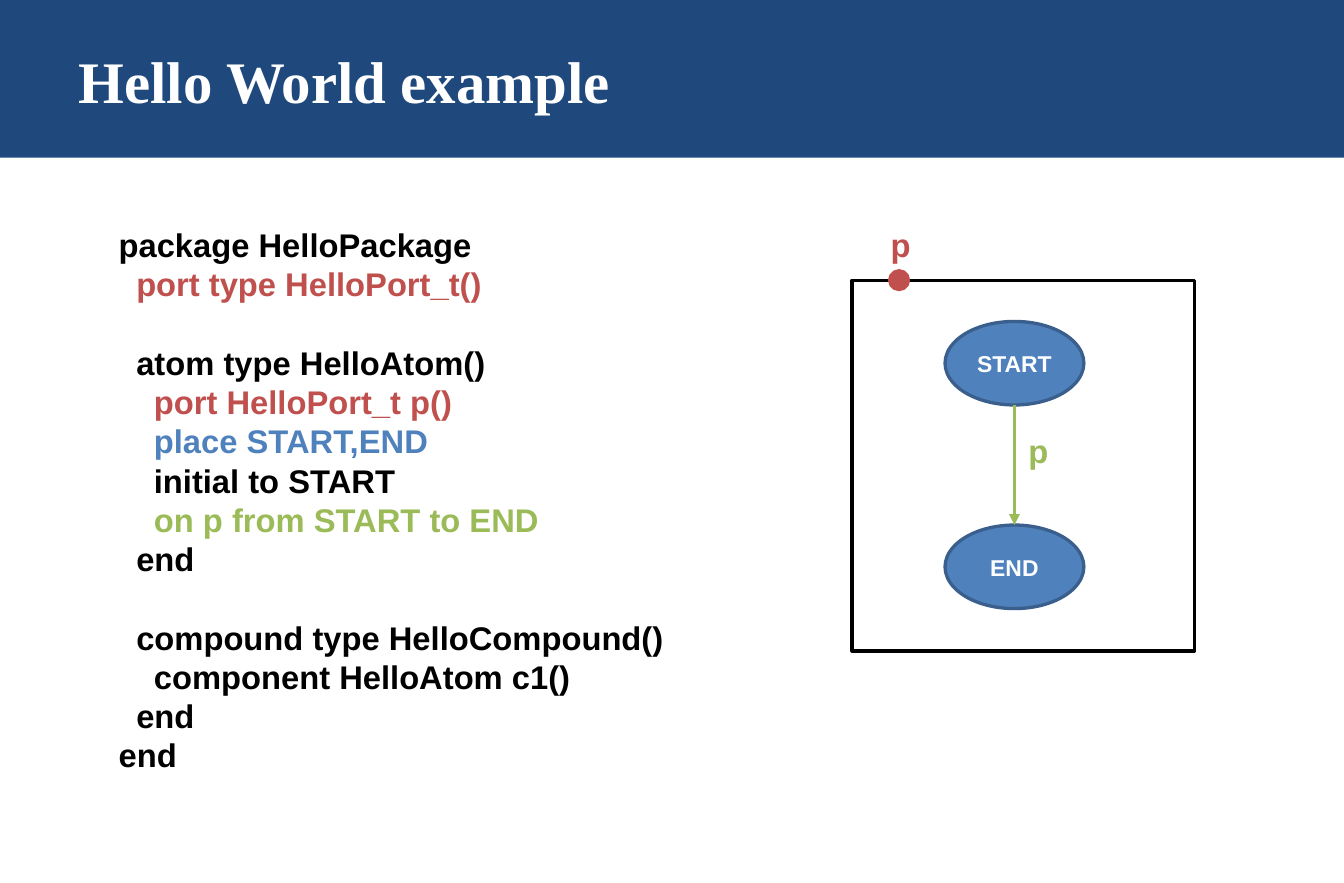
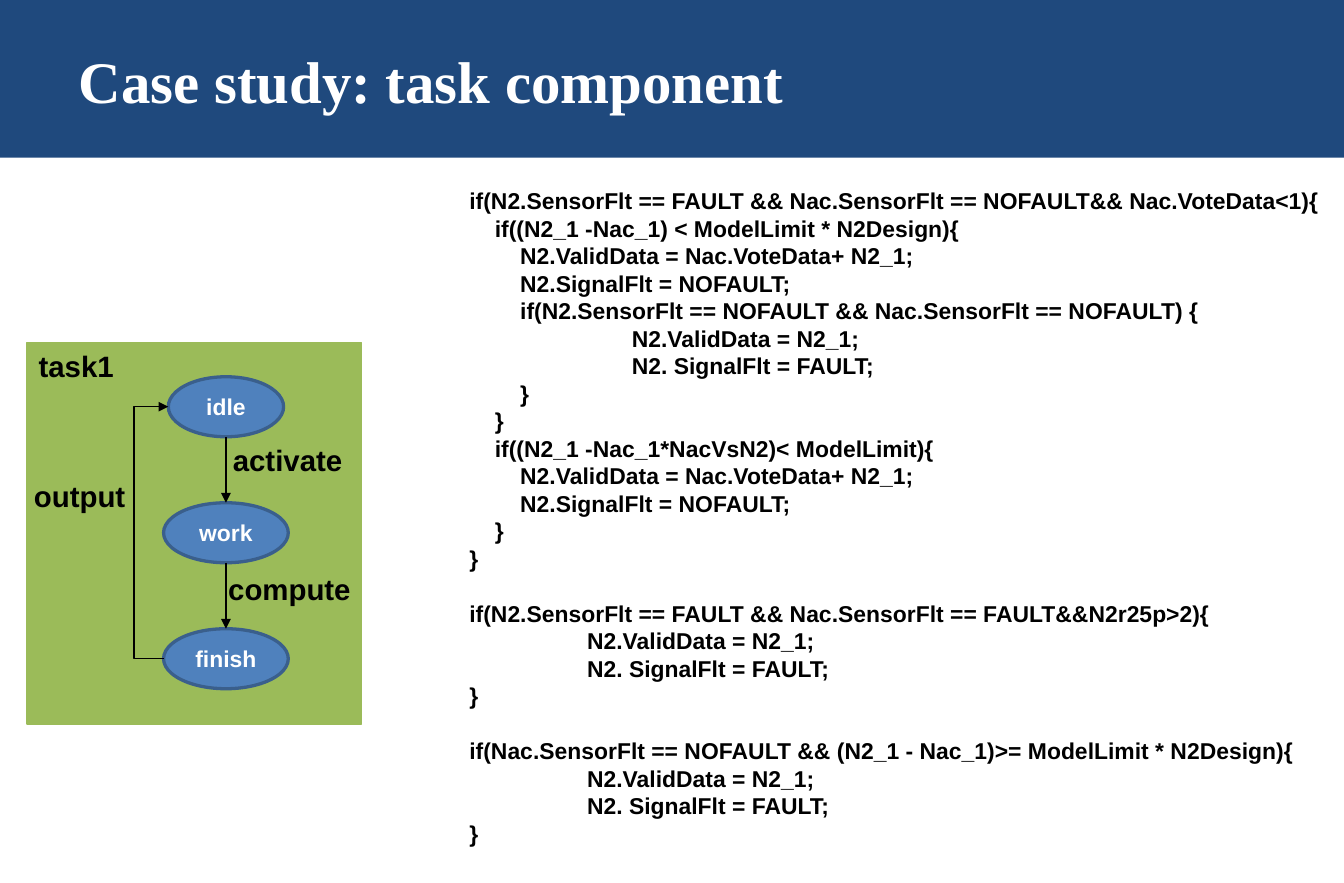
from pptx import Presentation
from pptx.util import Inches, Pt
from pptx.dml.color import RGBColor
from pptx.enum.shapes import MSO_SHAPE as Shape, MSO_CONNECTOR as Link
from pptx.enum.text import PP_ALIGN as Align, MSO_ANCHOR as Anchor
from pptx.oxml.ns import qn
from lxml import etree

WIDE, HIGH = 11.42, 7.5
NAVY, BLUE, EDGE = "1F497D", "4F81BD", "3A5F8C"
RED, GREEN, BLACK, WHITE = "C0504D", "9BBB59", "000000", "FFFFFF"
SANS, SERIF = "Arial", "Times New Roman"
LEADING = 1.2

HELLO_STEP = 0.15
HELLO = [
    (0, "package HelloPackage", BLACK),
    (1, "port type HelloPort_t()", RED),
    None,
    (1, "atom type HelloAtom()", BLACK),
    (2, "port HelloPort_t p()", RED),
    (2, "place START,END", BLUE),
    (2, "initial to START", BLACK),
    (2, "on p from START to END", GREEN),
    (1, "end", BLACK),
    None,
    (1, "compound type HelloCompound()", BLACK),
    (2, "component HelloAtom c1()", BLACK),
    (1, "end", BLACK),
    (0, "end", BLACK),
]

TASK_STEP = 0.216
TAB, DEEP = 1 / TASK_STEP, 1.38 / TASK_STEP
FAULT = [
    (TAB, "N2.ValidData = N2_1;", BLACK),
    (TAB, "N2. SignalFlt = FAULT;", BLACK),
    (0, "}", BLACK),
]
VALID = [
    (2, "N2.ValidData = Nac.VoteData+ N2_1;", BLACK),
    (2, "N2.SignalFlt = NOFAULT;", BLACK),
]
TASK = [
    (0, "if(N2.SensorFlt == FAULT && Nac.SensorFlt == NOFAULT&& Nac.VoteData<1){", BLACK),
    (1, "if((N2_1 -Nac_1) < ModelLimit * N2Design){", BLACK),
    *VALID,
    (2, "if(N2.SensorFlt == NOFAULT && Nac.SensorFlt == NOFAULT) {", BLACK),
    (DEEP, "N2.ValidData = N2_1;", BLACK),
    (DEEP, "N2. SignalFlt = FAULT;", BLACK),
    (2, "}", BLACK),
    (1, "}", BLACK),
    (1, "if((N2_1 -Nac_1*NacVsN2)< ModelLimit){", BLACK),
    *VALID,
    (1, "}", BLACK),
    (0, "}", BLACK),
    None,
    (0, "if(N2.SensorFlt == FAULT && Nac.SensorFlt == FAULT&&N2r25p>2){", BLACK),
    *FAULT,
    None,
    (0, "if(Nac.SensorFlt == NOFAULT && (N2_1 - Nac_1)>= ModelLimit * N2Design){", BLACK),
    *FAULT,
]

HELLO_NODES = ["START", "END"]
PORTS = [("p", 8.64, 3.61, 0.37, GREEN), ("p", 7.47, 1.86, 0.37, RED)]
TASK_NODES = [("idle", 0.98), ("work", 1.06), ("finish", 1.06)]
EVENTS = [("activate", 1.88, 3.71, 1.14), ("compute", 1.84, 4.8, 1.25),
          ("output", 0.19, 4.01, 0.99)]


def rgb(code):
    return RGBColor.from_string(code)


def style(par, size, color, font=SANS):
    for run in par.runs:
        run.font.name, run.font.size, run.font.bold = font, Pt(size), True
        run.font.color.rgb = rgb(color)


def box(slide, x, y, w, h, wrap=True):
    item = slide.shapes.add_textbox(*map(Inches, (x, y, w, h)))
    item.text_frame.word_wrap = wrap
    return item.text_frame


def label(slide, text, x, y, w, h, size, color):
    frame = box(slide, x, y, w, h, False)
    frame.text = text
    frame.paragraphs[0].line_spacing = Pt(size * LEADING)
    style(frame.paragraphs[0], size, color)


def code(slide, lines, x, y, w, h, size, step):
    frame = box(slide, x, y, w, h)
    par, gap = frame.paragraphs[0], False
    for line in lines:
        if line is None:
            gap = True
            continue
        level, text, color = line
        if par.text:
            par = frame.add_paragraph()
        par.text = text
        par.line_spacing = Pt(size * LEADING)
        par.space_before = Pt(size * LEADING if gap else 0)
        par._p.get_or_add_pPr().set("marL", str(Inches(level * step)))
        style(par, size, color)
        gap = False


def draw(slide, kind, x, y, w, h, fill=None, line=None, width=2):
    item = slide.shapes.add_shape(kind, *map(Inches, (x, y, w, h)))
    item.shadow.inherit = False
    if fill:
        item.fill.solid()
        item.fill.fore_color.rgb = rgb(fill)
    else:
        item.fill.background()
    if line:
        item.line.color.rgb = rgb(line)
        item.line.width = Pt(width)
    else:
        item.line.fill.background()
    return item


def node(slide, text, mid, y, w, h):
    frame = draw(slide, Shape.OVAL, mid - w / 2, y, w, h, BLUE, EDGE).text_frame
    frame.margin_left = frame.margin_right = 0
    frame.vertical_anchor = Anchor.MIDDLE
    frame.text = text
    frame.paragraphs[0].alignment = Align.CENTER
    style(frame.paragraphs[0], 14, WHITE)


def arrow(slide, x1, y1, x2, y2, color, width, kind=Link.STRAIGHT):
    item = slide.shapes.add_connector(kind, *map(Inches, (x1, y1, x2, y2)))
    item.line.color.rgb = rgb(color)
    item.line.width = Pt(width)
    etree.SubElement(item.line._get_or_add_ln(), qn("a:tailEnd"), type="triangle")
    etree.SubElement(item._element.spPr, qn("a:effectLst"))
    return item


def page(deck, title):
    slide = deck.slides.add_slide(deck.slide_layouts[6])
    draw(slide, Shape.RECTANGLE, 0, 0, WIDE, 1.34, NAVY)
    frame = box(slide, 0.57, 0.05, 10.28, 1.25)
    frame.vertical_anchor = Anchor.MIDDLE
    frame.text = title
    style(frame.paragraphs[0], 36, WHITE, SERIF)
    return slide


def hello(deck):
    slide = page(deck, "Hello World example")
    code(slide, HELLO, 0.91, 1.86, 5, 4.81, 20, HELLO_STEP)
    draw(slide, Shape.RECTANGLE, 7.24, 2.38, 2.91, 3.15, line=BLACK)
    mid, top, high, pitch = 8.62, 2.73, 0.71, 1.73
    for i, name in enumerate(HELLO_NODES):
        node(slide, name, mid, top + i * pitch, 1.18, high)
    arrow(slide, mid, top + high, mid, top + pitch, GREEN, 2.25)
    draw(slide, Shape.OVAL, 7.56, 2.3, 0.16, 0.16, RED, RED)
    for text, x, y, w, color in PORTS:
        label(slide, text, x, y, w, 0.44, 20, color)


def task(deck):
    slide = page(deck, "Case study: task component")
    code(slide, TASK, 3.89, 1.54, 7.43, 5.76, 14, TASK_STEP)
    panel = draw(slide, Shape.RECTANGLE, 0.23, 2.91, 2.84, 3.24, GREEN, GREEN, 0.75)
    frame = panel.text_frame
    frame.vertical_anchor = Anchor.TOP
    frame.text = "task1"
    par = frame.paragraphs[0]
    par.alignment = Align.LEFT
    par.line_spacing = Pt(18 * LEADING)
    style(par, 18, BLACK)

    mid, top, high, pitch = 1.92, 3.2, 0.51, 1.07
    for i, (name, w) in enumerate(TASK_NODES):
        y = top + i * pitch
        node(slide, name, mid, y, w, high)
        if i:
            arrow(slide, mid, y - pitch + high, mid, y, BLACK, 0.75)

    first, last = (mid - w / 2 for w in (TASK_NODES[0][1], TASK_NODES[-1][1]))
    start = top + high / 2
    loop = arrow(slide, last, start + 2 * pitch, first, start, BLACK, 0.75, Link.ELBOW)
    bend = round((1.14 - last) / (first - last) * 100000)
    guides = loop._element.spPr.find(qn("a:prstGeom")).get_or_add_avLst()
    etree.SubElement(guides, qn("a:gd"), name="adj1", fmla=f"val {bend}")
    for text, x, y, w in EVENTS:
        label(slide, text, x, y, w, 0.4, 18, BLACK)


def main():
    deck = Presentation()
    deck.slide_width, deck.slide_height = Inches(WIDE), Inches(HIGH)
    hello(deck)
    task(deck)
    deck.save("out.pptx")


if __name__ == "__main__":
    main()
